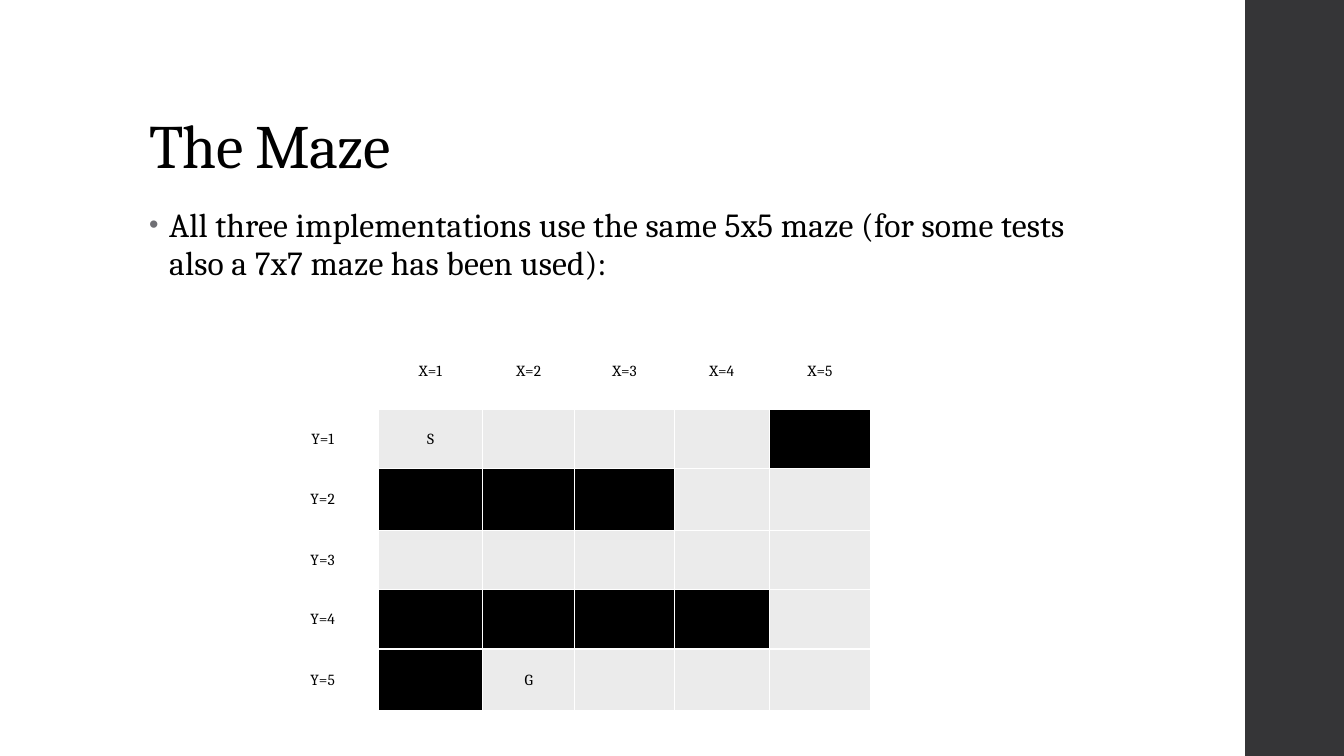
from lxml.etree import SubElement
from pptx import Presentation
from pptx.dml.color import RGBColor
from pptx.enum.shapes import MSO_SHAPE
from pptx.enum.text import MSO_ANCHOR, PP_ALIGN
from pptx.oxml.ns import qn
from pptx.util import Inches, Pt

WHITE = RGBColor(0xFF, 0xFF, 0xFF)
BLACK = RGBColor(0, 0, 0)
DARK = RGBColor(0x35, 0x35, 0x37)
GRAY = RGBColor(0x6F, 0x6F, 0x74)
PALE = RGBColor(0xEB, 0xEB, 0xEB)

MAZE = ["S...#", "###..", ".....", "####.", "#G..."]
COLS = [0.76, 0.17, 1.04, 0.91, 0.99, 0.94, 1.01]
ROWS = [0.6, 0.29, 0.59, 0.61, 0.59, 0.59, 0.61]


class Deck:
    """Holds the text style and the current slide, and adds elements to it."""

    def __init__(self, slide, font="Cambria"):
        self.slide = slide
        self.font = font

    def run(self, para, text, size, gap=0):
        run = para.add_run()
        run.text = text
        run.font.name = self.font
        run.font.size = Pt(size)
        run.font.color.rgb = BLACK
        if gap:
            run.font._element.set("spc", str(round(gap * 100)))

    def bar(self, box, color):
        shape = self.slide.shapes.add_shape(MSO_SHAPE.RECTANGLE, *map(Inches, box))
        shape.shadow.inherit = False
        shape.fill.solid()
        shape.fill.fore_color.rgb = color
        shape.line.fill.background()

    def text(self, box, text, size, gap, lead, anchor=MSO_ANCHOR.TOP):
        frame = self.slide.shapes.add_textbox(*map(Inches, box)).text_frame
        frame.word_wrap = True
        frame.vertical_anchor = anchor
        para = frame.paragraphs[0]
        para.line_spacing = lead
        self.run(para, text, size, gap)
        return para

    def bullet(self, para, color):
        para.space_before, para.space_after = Pt(14), Pt(2)
        props = para._p.get_or_add_pPr()
        props.set("marL", str(Inches(0.2)))
        props.set("indent", str(Inches(-0.2)))
        tint = SubElement(props, qn("a:buClr"))
        SubElement(tint, qn("a:srgbClr"), val=str(color))
        SubElement(props, qn("a:buSzPct"), val="80000")
        SubElement(props, qn("a:buFont"), typeface="Arial")
        SubElement(props, qn("a:buChar"), char="•")

    def cell(self, cell, text, color, anchor, size=11):
        cell.margin_left = cell.margin_right = cell.margin_top = Inches(0.01)
        cell.margin_bottom = 0
        cell.vertical_anchor = anchor
        props = cell._tc.get_or_add_tcPr()
        for side in "LRTB":
            line = SubElement(props, qn("a:ln" + side), w=str(Pt(1)))
            fill = SubElement(line, qn("a:solidFill"))
            SubElement(fill, qn("a:srgbClr"), val=str(WHITE))
        cell.fill.solid()
        cell.fill.fore_color.rgb = color
        para = cell.text_frame.paragraphs[0]
        para.alignment = PP_ALIGN.CENTER
        if text:
            self.run(para, text, size)
        else:
            SubElement(para._p, qn("a:endParaRPr"), sz=str(size * 100))

    def maze(self, left, top, cols, rows, maze):
        box = map(Inches, (left, top, sum(cols), sum(rows)))
        table = self.slide.shapes.add_table(len(rows), len(cols), *box).table
        table.first_row = table.horz_banding = False
        for col, width in zip(table.columns, cols):
            col.width = Inches(width)
        for row, height in zip(table.rows, rows):
            row.height = Inches(height)
        for r in range(len(rows)):
            for c in range(len(cols)):
                text, color = "", WHITE
                if r > 1 and c > 1:
                    mark = maze[r - 2][c - 2]
                    text = mark.strip(".#")
                    color = BLACK if mark == "#" else PALE
                elif r == 0 and c > 1:
                    text = f"X={c - 1}"
                elif c == 0 and r > 1:
                    text = f"Y={r - 1}"
                anchor = MSO_ANCHOR.MIDDLE if r else MSO_ANCHOR.BOTTOM
                self.cell(table.cell(r, c), text, color, anchor)


show = Presentation()
show.slide_width, show.slide_height = Inches(13.33), Inches(7.5)
deck = Deck(show.slides.add_slide(show.slide_layouts[6]))
deck.bar((12.35, 0, 0.98, 7.5), DARK)
deck.text((1.38, 0.4, 10.6, 1.45), "The Maze", 44, -0.5, 0.9, MSO_ANCHOR.BOTTOM)
body = deck.text(
    (1.38, 2, 9.4, 4.76),
    "All three implementations use the same 5x5 maze "
    "(for some tests also a 7x7 maze has been used):",
    24, 0.1, 0.95)
deck.bullet(body, GRAY)
deck.maze(2.82, 3.17, COLS, ROWS, MAZE)
show.save("out.pptx")
